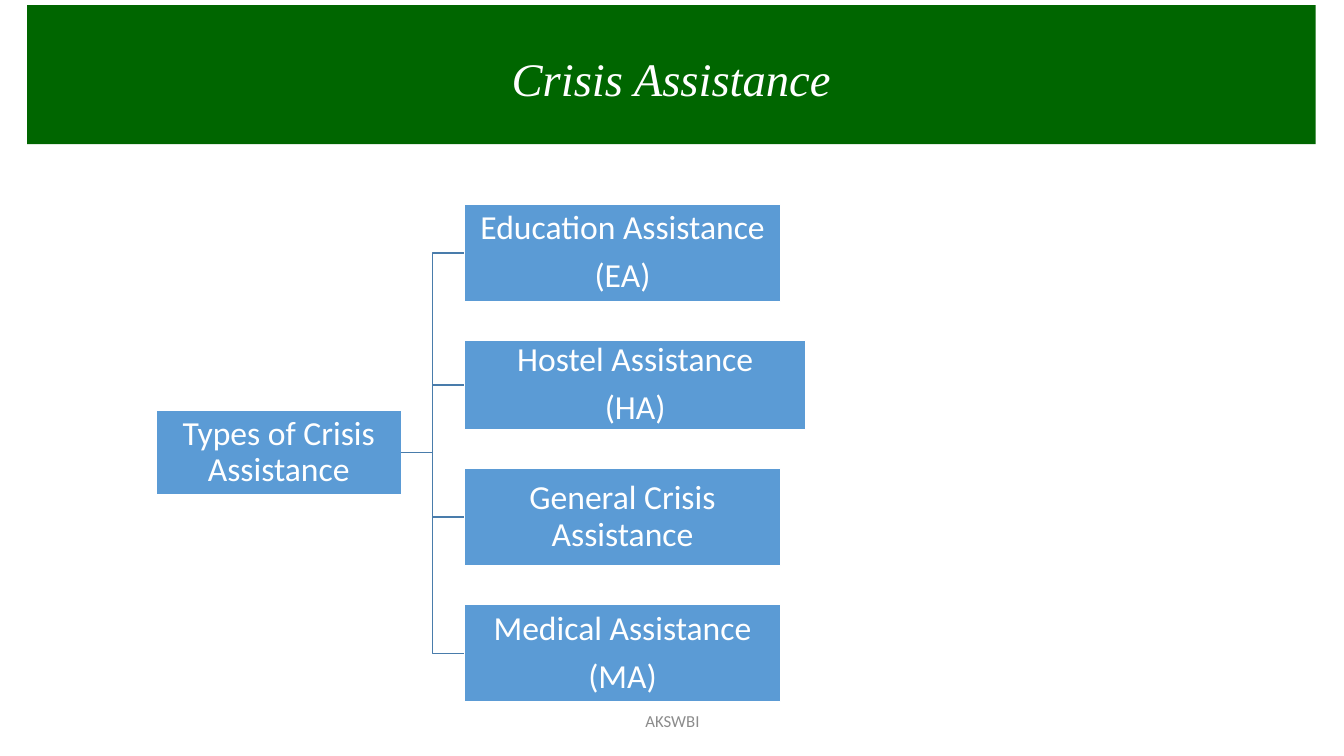
from pptx import Presentation
from pptx.dml.color import RGBColor
from pptx.enum.shapes import MSO_SHAPE
from pptx.enum.text import MSO_ANCHOR, PP_ALIGN
from pptx.util import Pt

RECTANGLE = MSO_SHAPE.RECTANGLE
MIDDLE = MSO_ANCHOR.MIDDLE
CENTER = PP_ALIGN.CENTER
PX = 9144
COLORS = {
    "banner": "006600",
    "node": "5B9BD5",
    "branch": "497CAB",
    "white": "FFFFFF",
    "footer": "8C8C8C",
}


class Diagram:
    body_font = "Calibri"
    title_font = "Times New Roman"

    def __init__(self, page):
        self.page = page

    def color(self, name):
        return RGBColor.from_string(COLORS[name])

    def set_text(self, shape, lines, size, color, font, margins, italic=False):
        frame = shape.text_frame
        frame.word_wrap = True
        frame.vertical_anchor = MIDDLE
        (frame.margin_left, frame.margin_top,
         frame.margin_right, frame.margin_bottom) = [m * PX for m in margins]
        frame.text = "\n".join(lines)
        for para in frame.paragraphs:
            para.alignment = CENTER
            para.font.name = font
            para.font.size = Pt(size)
            para.font.italic = italic
            para.font.color.rgb = self.color(color)
        return frame

    def rectangle(self, bounds, fill):
        shape = self.page.shapes.add_shape(RECTANGLE, *[v * PX for v in bounds])
        shape.shadow.inherit = False
        shape.fill.solid()
        shape.fill.fore_color.rgb = self.color(fill)
        return shape

    def banner(self, bounds, title):
        shape = self.rectangle(bounds, "banner")
        shape.line.fill.background()
        self.set_text(shape, [title], 33.3, "white", self.title_font,
                      (10, 11, 10, 5), italic=True)

    def node(self, bounds, lines):
        shape = self.rectangle(bounds, "node")
        shape.line.color.rgb = self.color("white")
        shape.line.width = Pt(1)
        frame = self.set_text(shape, lines, 24, "white", self.body_font, (2, 2, 2, 2))
        for para in frame.paragraphs:
            para.line_spacing = 0.9
            para.space_after = Pt(8.4)

    def branch(self, start, end):
        middle = (start[0] + end[0]) // 2
        builder = self.page.shapes.build_freeform(*start, scale=PX)
        builder.add_line_segments(
            [(middle, start[1]), (middle, end[1]), end], close=False)
        shape = builder.convert_to_shape()
        shape.shadow.inherit = False
        shape.fill.background()
        shape.line.color.rgb = self.color("branch")
        shape.line.width = Pt(1)

    def footer(self, bounds, text):
        box = self.page.shapes.add_textbox(*[v * PX for v in bounds])
        self.set_text(box, [text], 12, "footer", self.body_font, (10, 5, 10, 5))


def main():
    deck = Presentation()
    deck.slide_width = 1333 * PX
    deck.slide_height = 750 * PX
    diagram = Diagram(deck.slides.add_slide(deck.slide_layouts[6]))

    diagram.footer((442, 695, 450, 40), "AKSWBI")
    diagram.banner((27, 5, 1278, 138), "Crisis Assistance")

    root = (155, 407, 243, 84)
    child_left, child_top, child_gap = 461, 203, 39
    children = [
        (313, 96, ["Education Assistance", "(EA)"]),
        (338, 88, ["Hostel Assistance", "(HA)"]),
        (313, 96, ["General Crisis Assistance"]),
        (313, 96, ["Medical Assistance", "(MA)"]),
    ]
    root_exit = (root[0] + root[2], root[1] + root[3] // 2)
    diagram.node(root, ["Types of Crisis Assistance"])
    for width, height, lines in children:
        diagram.branch(root_exit, (child_left, child_top + height // 2))
        diagram.node((child_left, child_top, width, height), lines)
        child_top += height + child_gap

    deck.save("out.pptx")


if __name__ == "__main__":
    main()
